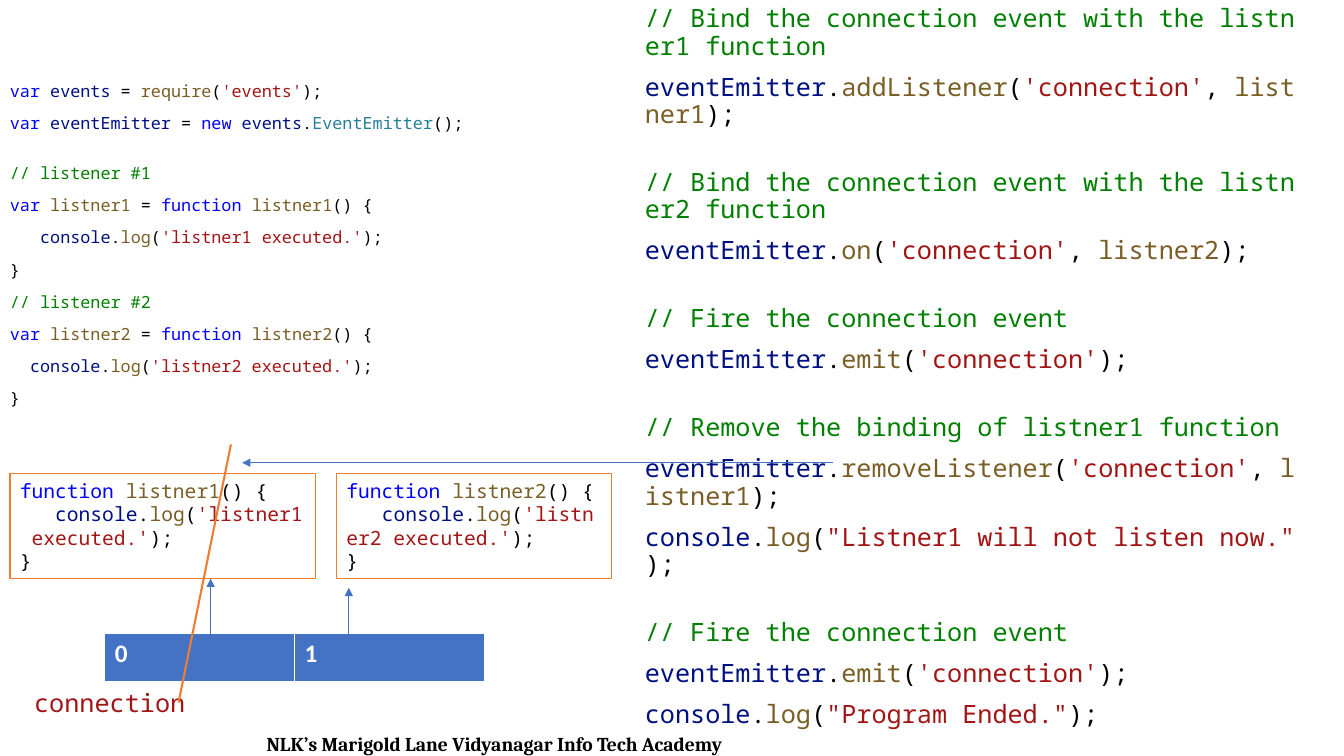
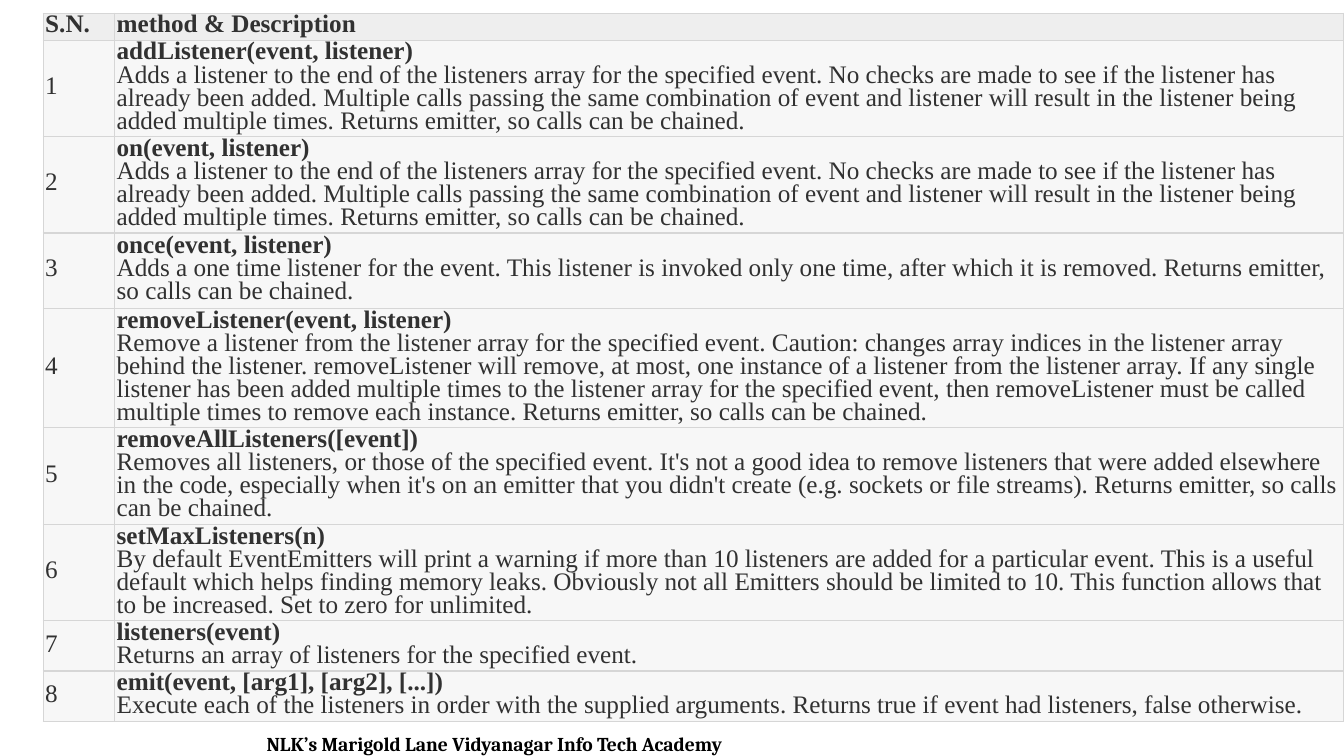
"""Build two slides on event listeners: annotated code and a method table."""
from itertools import groupby

from lxml.etree import SubElement
from pptx import Presentation
from pptx.dml.color import RGBColor
from pptx.enum.shapes import MSO_CONNECTOR, MSO_SHAPE
from pptx.enum.text import MSO_ANCHOR, PP_ALIGN
from pptx.oxml.ns import qn
from pptx.util import Cm, Pt

COLORS = {
    "keyword": "0000FF", "variable": "001080", "function": "795E26",
    "type": "267F99", "string": "A31515", "comment": "008000",
    "plain": "000000", "white": "FFFFFF", "blue": "4472C4",
    "orange": "ED7D31", "text": "313131", "border": "D6D6D6",
    "header": "EEEEEE", "row": "F7F7F7",
}
WORD_KINDS = {
    "var": "keyword", "new": "keyword", "function": "keyword",
    "events": "variable", "eventEmitter": "variable", "console": "variable",
    "EventEmitter": "type",
}
MONO, SANS, SERIF, FOOTER_FONT = "Noto Sans Mono", "Calibri", "Times New Roman", "Cambria"
NBSP = chr(160)

FOOTER = "NLK’s Marigold Lane Vidyanagar Info Tech Academy"

SETUP_CODE = [
    ["var events = require('events');",
     "var eventEmitter = new events.EventEmitter();"],
    ["// listener #1",
     "var listner1 = function listner1() {",
     "   console.log('listner1 executed.');",
     "}",
     "// listener #2",
     "var listner2 = function listner2() {",
     "  console.log('listner2 executed.');",
     "}"],
]
USAGE_CODE = [
    ["// Bind the connection event with the listner1 function",
     "eventEmitter.addListener('connection', listner1);"],
    ["// Bind the connection event with the listner2 function",
     "eventEmitter.on('connection', listner2);"],
    ["// Fire the connection event",
     "eventEmitter.emit('connection');"],
    ["// Remove the binding of listner1 function",
     "eventEmitter.removeListener('connection', listner1);",
     'console.log("Listner1 will not listen now.");'],
    ["// Fire the connection event",
     "eventEmitter.emit('connection');",
     'console.log("Program Ended.");'],
]
LISTENER_BOXES = [("listner1", 0.25, 7.7), ("listner2", 8.48, 6.93)]
CONNECTORS = [
    (5.31, 16.36, 5.31, 14.58, "blue", 0.5, True),
    (8.79, 16.56, 8.79, 14.81, "blue", 0.5, True),
    (5.82, 11.2, 4.5, 17.7, "orange", 1.5, False),
    (20.98, 11.66, 6.1, 11.66, "blue", 0.5, True),
]

ADD_TEXT = (
    "Adds a listener to the end of the listeners array for the specified event. "
    "No checks are made to see if the listener has already been added. Multiple calls "
    "passing the same combination of event and listener will result in the listener "
    "being added multiple times. Returns emitter, so calls can be chained."
)
TABLE_HEADER = ("S.N.", "method & Description")
METHODS = [
    ("addListener(event, listener)", ADD_TEXT, 1.9),
    ("on(event, listener)", ADD_TEXT, 1.9),
    ("once(event, listener)",
     "Adds a one time listener for the event. This listener is invoked only one time, "
     "after which it is removed. Returns emitter, so calls can be chained.", 1.9),
    ("removeListener(event, listener)",
     "Remove a listener from the listener array for the specified event. Caution: changes "
     "array indices in the listener array behind the listener. removeListener will remove, "
     "at most, one instance of a listener from the listener array. If any single listener "
     "has been added multiple times to the listener array for the specified event, then "
     "removeListener must be called multiple times to remove each instance. Returns "
     "emitter, so calls can be chained.", 2.57),
    ("removeAllListeners([event])",
     "Removes all listeners, or those of the specified event. It's not a good idea to "
     "remove listeners that were added elsewhere in the code, especially when it's on an "
     "emitter that you didn't create (e.g. sockets or file streams). Returns emitter, so "
     "calls can be chained.", 1.9),
    ("setMaxListeners(n)",
     "By default EventEmitters will print a warning if more than 10 listeners are added for "
     "a particular event. This is a useful default which helps finding memory leaks. "
     "Obviously not all Emitters should be limited to 10. This function allows that to be "
     "increased. Set to zero for unlimited.", 1.9),
    ("listeners(event)", "Returns an array of listeners for the specified event.", 1.27),
    ("emit(event, [arg1], [arg2], [...])",
     "Execute each of the listeners in order with the supplied arguments. Returns true if "
     "event had listeners, false otherwise.", 1.27),
]


def rgb(name):
    return RGBColor.from_string(COLORS[name])


def add_run(p, text, font, size, color, bold=False):
    r = p.add_run()
    r.text = text
    r.font.name, r.font.size, r.font.bold = font, Pt(size), bold
    r.font.color.rgb = rgb(color)


def add_text_frame(slide, left, top, width, height):
    tf = slide.shapes.add_textbox(Cm(left), Cm(top), Cm(width), Cm(height)).text_frame
    tf.word_wrap = True
    return tf


def tokens(line):
    """Yield (text, colour name) pairs for one line of code."""
    if line.startswith("//"):
        yield line, "comment"
        return
    quote = '"' if '"' in line else "'"
    for i, part in enumerate(line.split(quote)):
        if i % 2:
            yield quote + part + quote, "string"
            continue
        for is_word, chars in groupby(part, str.isalnum):
            text = "".join(chars)
            yield text, WORD_KINDS.get(text, "function") if is_word else "plain"


def add_code(tf, groups, size, spaced=True):
    """Write groups of highlighted code lines, with a wider gap between groups."""
    p = None
    for group in groups:
        for i, line in enumerate(group):
            first = p is None
            p = tf.paragraphs[0] if first else tf.add_paragraph()
            p.alignment = PP_ALIGN.LEFT
            if spaced:
                p.line_spacing = 0.9
                if not first:
                    p.space_before = Pt(10 if i else round(10 + 1.08 * size))
            for text, kind in tokens(line):
                add_run(p, text.replace(" ", NBSP), MONO, size, kind)


def add_listener_box(slide, name, left, width):
    sp = slide.shapes.add_shape(MSO_SHAPE.RECTANGLE, Cm(left), Cm(11.94), Cm(width), Cm(2.64))
    sp.shadow.inherit = False
    sp.fill.solid()
    sp.fill.fore_color.rgb = rgb("white")
    sp.line.color.rgb = rgb("orange")
    sp.line.width = Pt(1)
    tf = sp.text_frame
    tf.word_wrap = True
    tf.vertical_anchor = MSO_ANCHOR.TOP
    lines = [f"function {name}() {{", f"   console.log('{name} executed.');", "}"]
    add_code(tf, [lines], 14, spaced=False)


def add_line(slide, x1, y1, x2, y2, color, width, arrow):
    line = slide.shapes.add_connector(MSO_CONNECTOR.STRAIGHT, Cm(x1), Cm(y1), Cm(x2), Cm(y2))
    line.line.color.rgb = rgb(color)
    line.line.width = Pt(width)
    if arrow:
        SubElement(line.line._get_or_add_ln(), qn("a:tailEnd"), type="triangle")
    SubElement(line._element.spPr, qn("a:effectLst"))


def fill_cell(cell, color):
    cell.fill.solid()
    cell.fill.fore_color.rgb = rgb(color)


def set_borders(cell, color):
    tc_pr = cell._tc.get_or_add_tcPr()
    for i, side in enumerate(("lnL", "lnR", "lnT", "lnB")):
        ln = tc_pr.makeelement(qn(f"a:{side}"), {"w": str(Pt(1))})
        fill = SubElement(ln, qn("a:solidFill"))
        SubElement(fill, qn("a:srgbClr"), val=COLORS[color])
        tc_pr.insert(i, ln)


def add_slide(prs):
    slide = prs.slides.add_slide(prs.slide_layouts[6])
    p = add_text_frame(slide, 0.64, 18.31, 23.65, 0.86).paragraphs[0]
    p.alignment = PP_ALIGN.CENTER
    add_run(p, FOOTER, FOOTER_FONT, 14, "plain", True)
    return slide


def build_code_slide(prs):
    slide = add_slide(prs)
    add_code(add_text_frame(slide, 0, 1.96, 14.83, 9.22), SETUP_CODE, 12)
    add_code(add_text_frame(slide, 16, 0.03, 17.04, 18.03), USAGE_CODE, 18)

    table = slide.shapes.add_table(1, 2, Cm(2.64), Cm(15.95), Cm(9.56), Cm(1.22)).table
    for i, cell in enumerate(table.rows[0].cells):
        fill_cell(cell, "blue")
        add_run(cell.text_frame.paragraphs[0], str(i), SANS, 18, "white", True)

    label = add_text_frame(slide, 0.61, 17.2, 4.45, 1.02)
    add_run(label.paragraphs[0], "connection", MONO, 18, "string")
    for box in LISTENER_BOXES:
        add_listener_box(slide, *box)
    for connector in CONNECTORS:
        add_line(slide, *connector)


def build_method_slide(prs):
    slide = add_slide(prs)
    heights = [0.61] + [height for _, _, height in METHODS]
    widths = [1.8, 30.97]
    table = slide.shapes.add_table(len(heights), len(widths), Cm(1.09), Cm(0.33),
                                   Cm(sum(widths)), Cm(sum(heights))).table
    for column, width in zip(table.columns, widths):
        column.width = Cm(width)
    rows = [[[(text, True)] for text in TABLE_HEADER]]
    for i, (name, description, _) in enumerate(METHODS, 1):
        rows.append([[(str(i), False)], [(name, True), (description, False)]])
    for r, (row, height) in enumerate(zip(rows, heights)):
        table.rows[r].height = Cm(height)
        for c, parts in enumerate(row):
            cell = table.cell(r, c)
            fill_cell(cell, "row" if r else "header")
            set_borders(cell, "border")
            cell.vertical_anchor = MSO_ANCHOR.MIDDLE
            cell.margin_left = cell.margin_right = Cm(0.05)
            cell.margin_top = cell.margin_bottom = Cm(0.05)
            p = cell.text_frame.paragraphs[0]
            p.line_spacing = Pt(16.5)
            for i, (text, bold) in enumerate(parts):
                if i:
                    p.add_line_break()
                add_run(p, text, SERIF, 18, "text", bold)


def main():
    prs = Presentation()
    prs.slide_width, prs.slide_height = Cm(33.87), Cm(19.05)
    build_code_slide(prs)
    build_method_slide(prs)
    prs.save("out.pptx")


if __name__ == "__main__":
    main()
